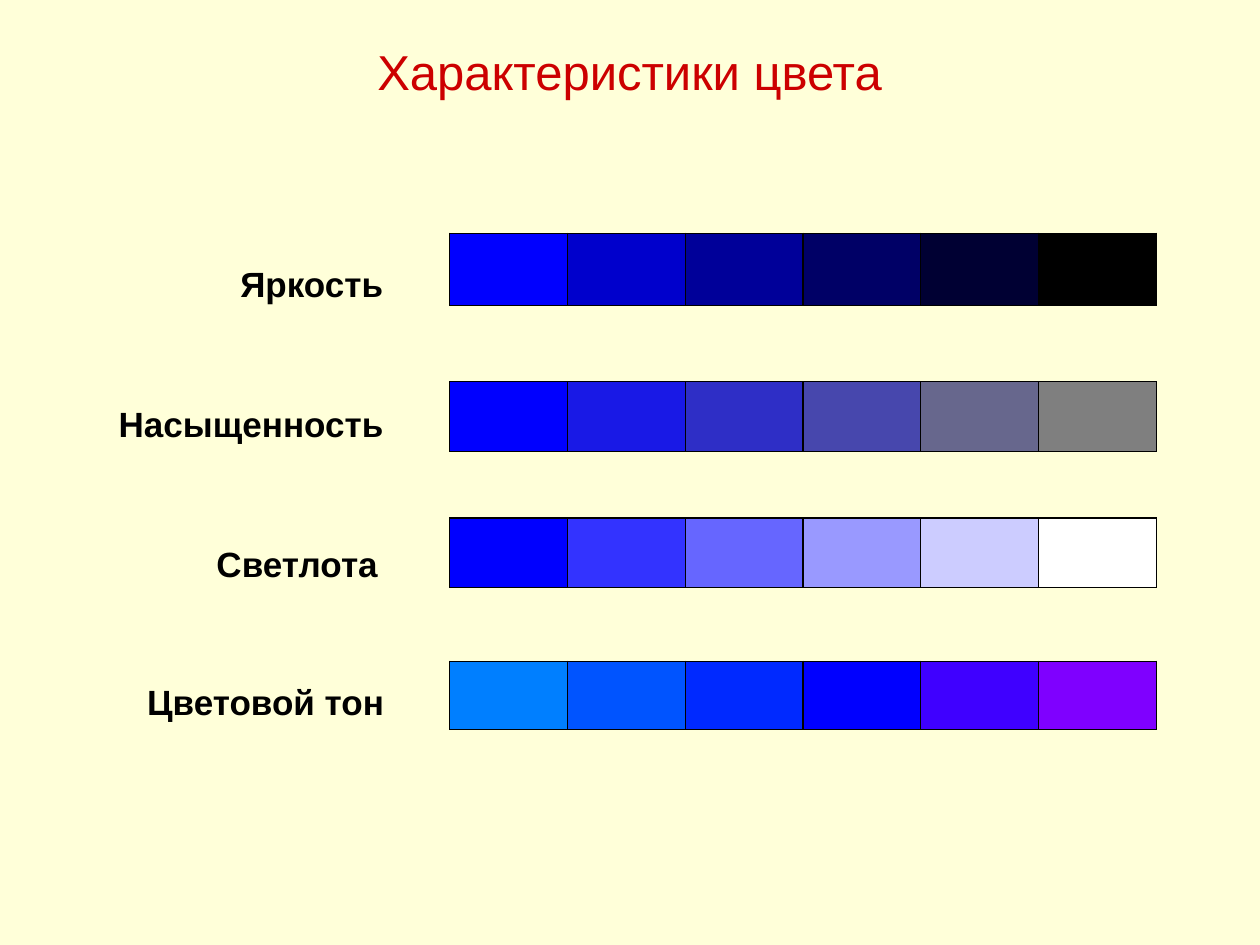
import pptx
import pptx.util
import pptx.dml.color
import pptx.enum.text
from lxml import etree
from pptx.oxml.ns import qn

Pt = pptx.util.Pt
Align = pptx.enum.text.PP_ALIGN
Anchor = pptx.enum.text.MSO_ANCHOR

BAR_LEFT, CELL = 257, 67.3

# label, its left, top and width, bar top and height, swatches
ROWS = [
    ("Яркость", 129.6, 146.2, 96.5, 133.2, 41.3,
     "0000FF 0000CC 000099 000066 000033 000000"),
    ("Насыщенность", 59.8, 226.1, 166.5, 218.2, 39.6,
     "0000FF 1919E6 2E2EC6 4747AD 67678D 7F7F7F"),
    ("Светлота", 115.9, 306, 107, 296, 39.6,
     "0000FF 3333FF 6666FF 9999FF CCCCFF FFFFFF"),
    ("Цветовой тон", 75.6, 385.2, 151, 377.8, 39,
     "007FFF 0054FF 0029FF 0000FF 3F00FF 7F00FF"),
]


def paint(fill, color):
    fill.solid()
    fill.fore_color.rgb = pptx.dml.color.RGBColor.from_string(color)


def frame(cell, color="000000", width=0.75):
    """Draw all four borders of a table cell."""
    props = cell._tc.get_or_add_tcPr()
    for spot, side in enumerate(("lnL", "lnR", "lnT", "lnB")):
        line = etree.Element(qn("a:" + side), w=str(Pt(width)))
        fill = etree.SubElement(line, qn("a:solidFill"))
        etree.SubElement(fill, qn("a:srgbClr"), val=color)
        props.insert(spot, line)


class Deck:
    font = "Arial"

    def __init__(self, width, height, back):
        self.show = pptx.Presentation()
        self.show.slide_width = Pt(width)
        self.show.slide_height = Pt(height)
        self.slide = self.show.slides.add_slide(self.show.slide_layouts[6])
        paint(self.slide.background.fill, back)

    def text(self, words, left, top, width, height, size, color, align,
             bold=False, wrap=True, anchor=Anchor.TOP, before=0):
        box = self.slide.shapes.add_textbox(
            Pt(left), Pt(top), Pt(width), Pt(height))
        body = box.text_frame
        body.word_wrap = wrap
        body.vertical_anchor = anchor
        body.auto_size = pptx.enum.text.MSO_AUTO_SIZE.SHAPE_TO_FIT_TEXT
        para = body.paragraphs[0]
        para.text = words
        para.alignment = align
        para.space_before = Pt(before)
        para.font.name = self.font
        para.font.size = Pt(size)
        para.font.bold = bold
        paint(para.font.fill, color)

    def bar(self, top, height, colors):
        """Add a one-row table of colour swatches."""
        count = len(colors)
        table = self.slide.shapes.add_table(
            1, count, Pt(BAR_LEFT), Pt(top), Pt(CELL * count),
            Pt(height)).table
        table.first_row = table.horz_banding = False
        for column, cell, color in zip(table.columns, table.iter_cells(),
                                       colors):
            column.width = Pt(CELL)
            paint(cell.fill, color)
            frame(cell)


def main():
    deck = Deck(720, 540, "FFFFD9")
    for label, left, top, width, bar_top, height, colors in ROWS:
        deck.bar(bar_top, height, colors.split())
        deck.text(label, left, top, width, 31.5, 20, "000000", Align.RIGHT,
                  bold=True, wrap=False, anchor=Anchor.MIDDLE)
    deck.text("Характеристики цвета", 116, 20, 487.5, 41, 28, "CC0000",
              Align.CENTER, before=4)
    deck.show.save("out.pptx")


if __name__ == "__main__":
    main()
